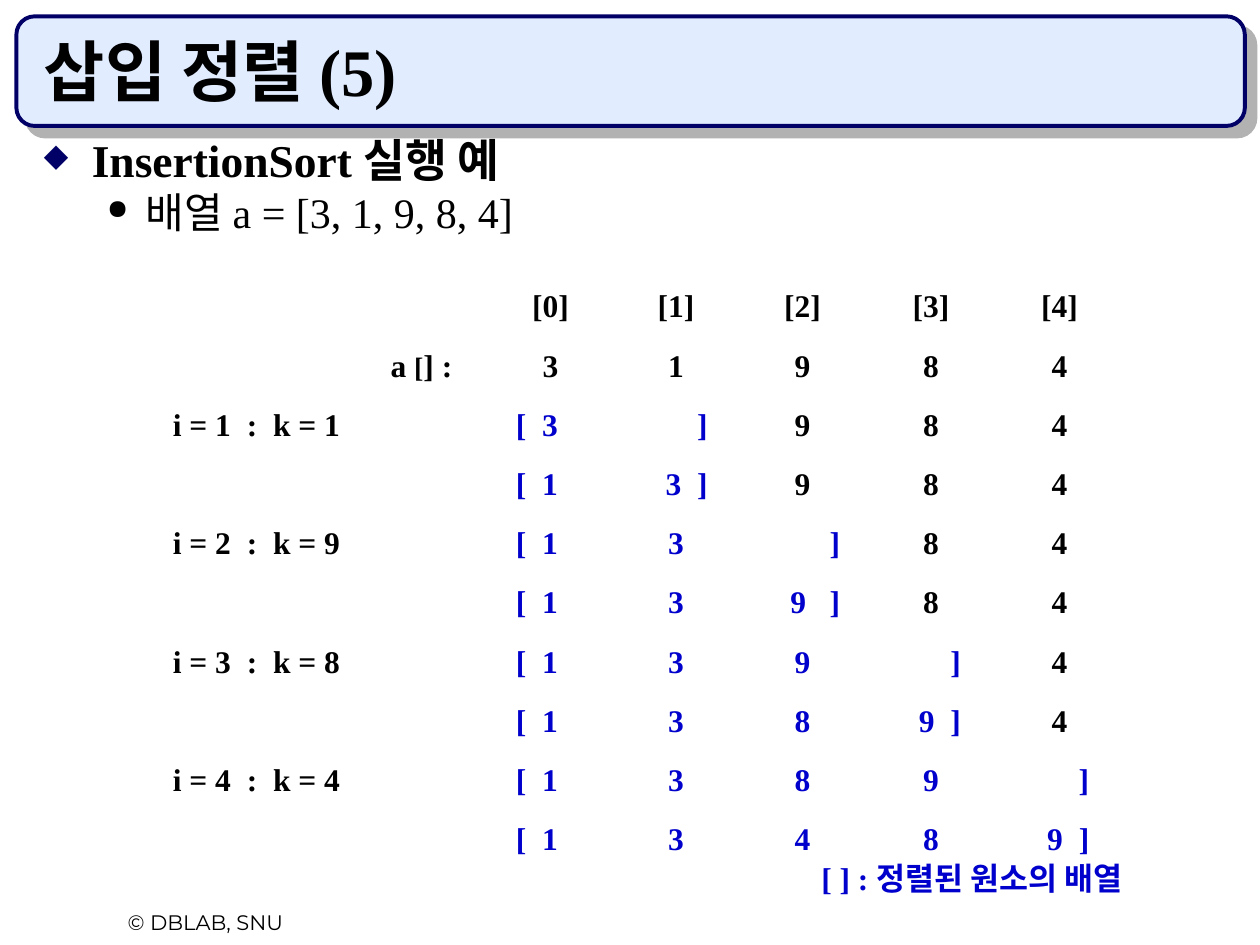
import pptx
import pptx.dml.color
import pptx.enum.shapes
import pptx.enum.text
import pptx.oxml
import pptx.oxml.ns
import pptx.util
from pptx.util import Inches

COLORS = {
    "banner": "E1ECFF",
    "navy": "000066",
    "shadow": "B2B2B2",
    "black": "000000",
    "sorted": "0000CC",
}
SERIF = "Times New Roman"
CENTER = pptx.enum.text.PP_ALIGN.CENTER
NUMBERS = [3, 1, 9, 8, 4]
FIRST_NUMBER = 2
COLUMN_WIDTHS = [1.93, 0.87, 1, 0.99, 1.02, 1.02, 1.02]
ROW_HEIGHT = 0.47
SPACE = 0.0625


def rgb(name):
    return pptx.dml.color.RGBColor.from_string(COLORS[name])


def xml(markup):
    return pptx.oxml.parse_xml(markup.replace(" ", f" {pptx.oxml.ns.nsdecls('a')} ", 1))


def add_run(paragraph, text, size=18, color="black", name=SERIF, bold=True):
    run = paragraph.add_run()
    run.text = text
    values = {"size": pptx.util.Pt(size), "name": name, "bold": bold}
    for attribute, value in values.items():
        setattr(run.font, attribute, value)
    run.font.color.rgb = rgb(color)
    return run


def add_spaced(paragraph, parts, color="black", extra=4.5):
    for index, part in enumerate(parts):
        if index:
            gap = add_run(paragraph, " ", color=color)
            gap._r.get_or_add_rPr().set("spc", str(round(extra * 100)))
        add_run(paragraph, part, color=color)


def add_text(slide, box, **frame_values):
    frame = slide.shapes.add_textbox(*map(Inches, box)).text_frame
    for attribute, value in {"word_wrap": True, **frame_values}.items():
        setattr(frame, attribute, value)
    return frame


def add_banner(slide):
    banner = slide.shapes.add_shape(
        pptx.enum.shapes.MSO_SHAPE.ROUNDED_RECTANGLE,
        *map(Inches, (0.13, 0.13, 9.75, 0.87)))
    banner.fill.solid()
    banner.fill.fore_color.rgb = rgb("banner")
    banner.line.color.rgb = rgb("navy")
    banner.line.width = pptx.util.Pt(2.25)
    banner.shadow.inherit = False
    effects = banner._element.spPr.find(pptx.oxml.ns.qn("a:effectLst"))
    effects.append(xml(
        f'<a:outerShdw dist="{pptx.util.Pt(8.5)}" dir="2700000" algn="ctr" rotWithShape="0">'
        f'<a:srgbClr val="{COLORS["shadow"]}"/></a:outerShdw>'))


def set_bullet(paragraph, symbol, color, percent, left, hanging):
    properties = paragraph._p.get_or_add_pPr()
    properties.set("marL", str(Inches(left)))
    properties.set("indent", str(-Inches(hanging)))
    for markup in (
        f'<a:buClr ><a:srgbClr val="{COLORS[color]}"/></a:buClr>',
        f'<a:buSzPct val="{percent * 1000}"/>',
        f'<a:buChar char="{symbol}"/>',
    ):
        properties.append(xml(markup))


def add_outline(slide):
    frame = add_text(slide, (0.25, 1.08, 9.42, 1))
    topic = frame.paragraphs[0]
    example = frame.add_paragraph()
    example.level = 1
    example.space_before = pptx.util.Pt(6)
    for paragraph in (topic, example):
        paragraph.line_spacing = 0.8
    set_bullet(topic, "◆", "navy", 70, 0.38, 0.38)
    set_bullet(example, "●", "black", 65, 0.81, 0.31)
    add_run(topic, "InsertionSort 실행 예", 26)
    add_run(example, f"배열 a = {NUMBERS}", 24, bold=False)


def indent(paragraph, spaces):
    paragraph._p.get_or_add_pPr().set("marL", str(Inches(spaces * SPACE)))


def fill_centered(cell, parts, color="black"):
    paragraph = cell.text_frame.paragraphs[0]
    paragraph.alignment = CENTER
    add_spaced(paragraph, parts, color)


def fill_state(cells, ordered, end):
    for index, cell in enumerate(cells):
        paragraph = cell.text_frame.paragraphs[0]
        if index > end:
            fill_centered(cell, [str(NUMBERS[index])])
        elif index == 0:
            indent(paragraph, 2)
            add_spaced(paragraph, ["[", str(ordered[0])], "sorted")
        elif index < end:
            fill_centered(cell, [str(ordered[index])], "sorted")
        elif index < len(ordered):
            indent(paragraph, 5)
            extra = 9 if index == 2 else 4.5
            add_spaced(paragraph, [str(ordered[index]), "]"], "sorted", extra)
        else:
            indent(paragraph, 10 if index == 2 else 9)
            add_run(paragraph, "]", color="sorted")


def add_trace(slide):
    row_count = 2 * len(NUMBERS)
    trace = slide.shapes.add_table(
        row_count, len(COLUMN_WIDTHS), Inches(1.07), Inches(2.25),
        Inches(sum(COLUMN_WIDTHS)), Inches(row_count * ROW_HEIGHT)).table
    for attribute in ("first_row", "horz_banding"):
        setattr(trace, attribute, False)
    for column, width in zip(trace.columns, COLUMN_WIDTHS):
        column.width = Inches(width)
    for cell in trace.iter_cells():
        cell.fill.background()

    for index, number in enumerate(NUMBERS):
        fill_centered(trace.cell(0, FIRST_NUMBER + index), [f"[{index}]"])
        fill_centered(trace.cell(1, FIRST_NUMBER + index), [str(number)])
    array_name = trace.cell(1, 1).text_frame.paragraphs[0]
    for text, size in (("a ", 18), ("[", 16), ("] :", 18)):
        add_run(array_name, text, size)

    for step in range(1, len(NUMBERS)):
        top = 2 * step
        fill_centered(trace.cell(top, 0), [f"i = {step}", ":", f"k = {NUMBERS[step]}"])
        for row, count in ((top, step), (top + 1, step + 1)):
            cells = list(trace.rows[row].cells)[FIRST_NUMBER:]
            fill_state(cells, sorted(NUMBERS[:count]), step)


def main():
    presentation = pptx.Presentation()
    presentation.slide_width = Inches(10)
    presentation.slide_height = Inches(7.5)
    slide = presentation.slides.add_slide(presentation.slide_layouts[6])

    add_banner(slide)
    footer = add_text(slide, (0.42, 7.17, 2.42, 0.3)).paragraphs[0]
    footer.alignment = CENTER
    add_run(footer, "© DBLAB, SNU", 12, name="Montserrat", bold=False)
    title = add_text(slide, (0.25, 0.25, 9.42, 0.67),
                     vertical_anchor=pptx.enum.text.MSO_ANCHOR.BOTTOM)
    add_run(title.paragraphs[0], "삽입 정렬 (5)", 38)
    add_outline(slide)
    add_trace(slide)
    legend = add_text(slide, (6.42, 6.77, 2.83, 0.4))
    add_run(legend.paragraphs[0], "[ ] : 정렬된 원소의 배열", color="sorted")

    presentation.save("out.pptx")


if __name__ == "__main__":
    main()
